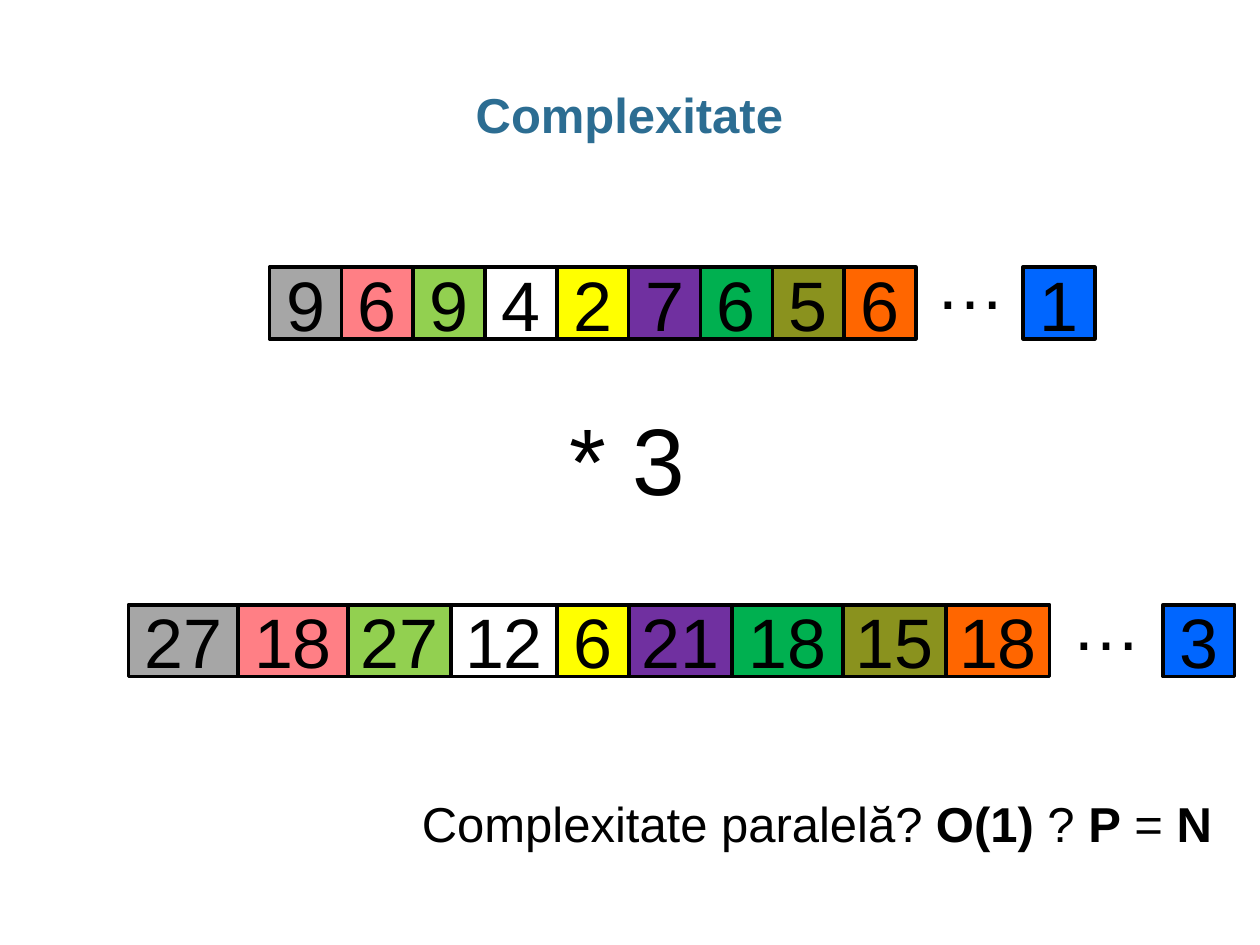
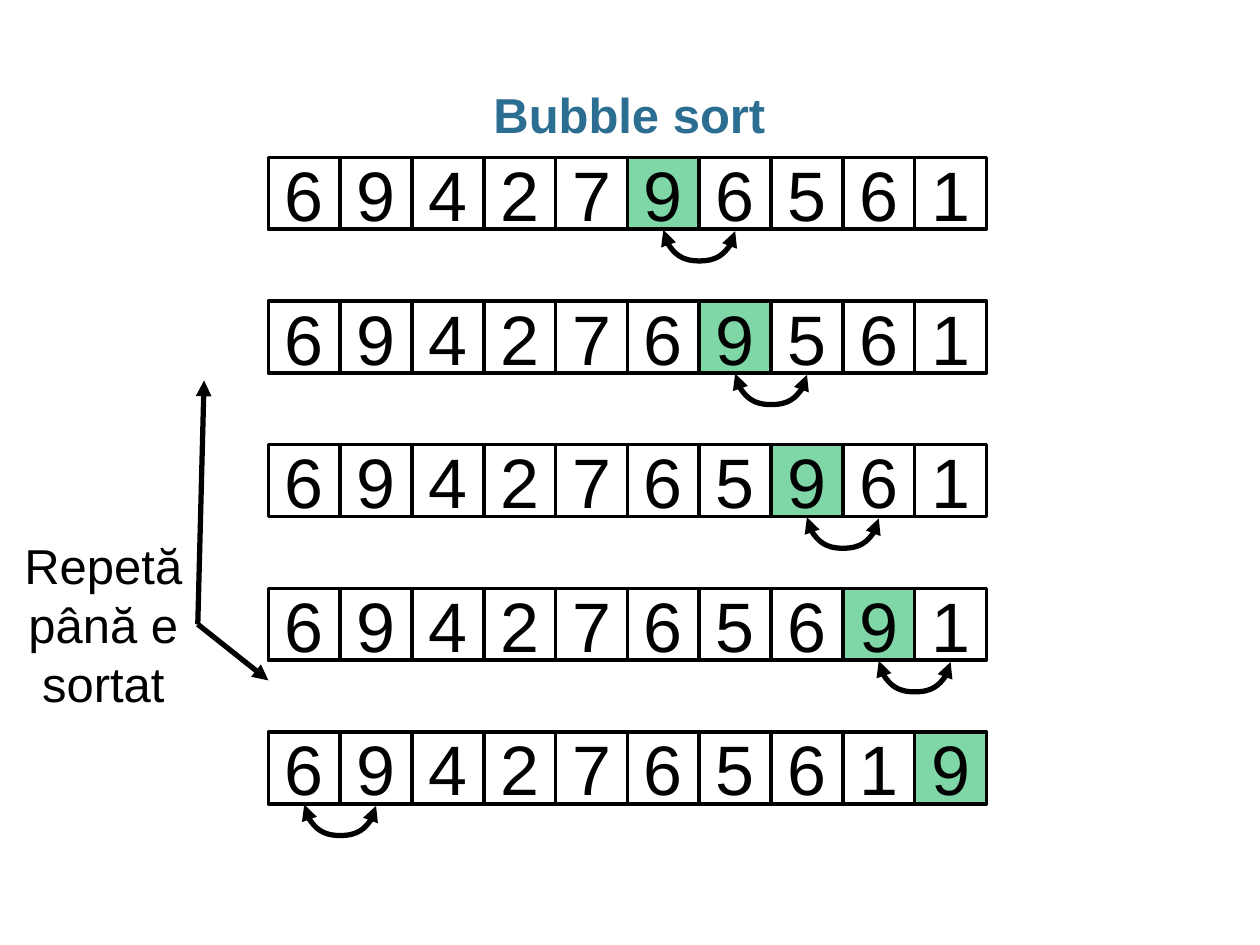
from dataclasses import dataclass
from typing import Optional

from pptx import Presentation
from pptx.dml.color import RGBColor
from pptx.enum.shapes import MSO_CONNECTOR, MSO_SHAPE
from pptx.enum.text import MSO_ANCHOR, MSO_AUTO_SIZE, PP_ALIGN
from pptx.oxml.ns import qn
from pptx.oxml.xmlchemy import OxmlElement
from pptx.util import Inches, Pt

RECTANGLE = MSO_SHAPE.RECTANGLE
STRAIGHT, CURVE = MSO_CONNECTOR.STRAIGHT, MSO_CONNECTOR.CURVE
MIDDLE = MSO_ANCHOR.MIDDLE
CENTER, LEFT = PP_ALIGN.CENTER, PP_ALIGN.LEFT
FIT_SHAPE, NO_FIT = MSO_AUTO_SIZE.SHAPE_TO_FIT_TEXT, MSO_AUTO_SIZE.NONE
TITLE_ONLY = 5
RIGHT_SIDE = 3

COLOURS = {
    "title": "2C6D92", "ink": "000000", "grey": "A6A6A6", "pink": "FF7F85",
    "lime": "92D050", "yellow": "FFFF00", "purple": "7030A0",
    "green": "00B050", "olive": "8A921E", "orange": "FF6600", "blue": "0066FF",
}
BODY_FONT = {"name": "Arial", "size": Pt(28), "bold": False}
TITLE_FONT = {**BODY_FONT, "bold": True}
DIGIT_FONT = {**BODY_FONT, "size": Pt(40)}
FACTOR_FONT = {**BODY_FONT, "size": Pt(54)}

CELL = 0.57
ROW_STEP = 2 * CELL
ARC_DROP = 0.01
ARC_DEPTH = 0.25


@dataclass(frozen=True)
class Cell:
    value: str
    colour: Optional[str] = None
    width: float = CELL
    opacity: int = 100


@dataclass(frozen=True)
class Label:
    runs: tuple[str, ...]  # every second run is bold
    box: tuple[float, float, float, float]
    font: dict
    align: PP_ALIGN = LEFT
    wrap: bool = False


INPUT_COLOURS = ("grey", "pink", "lime", None, "yellow", "purple", "green", "olive", "orange")
INPUTS = (9, 6, 9, 4, 2, 7, 6, 5, 6)
PRODUCT_WIDTHS = (0.87, 0.87, 0.82, 0.84, CELL, 0.82, 0.88, 0.82, 0.82)
FACTOR = 3

COMPLEXITY_LABELS = (
    Label(("Complexitate paralelă? ", "O(1) ", "? ", "P", " = ", "N"),
          (3.25, 6.25, 6.55, 0.57), BODY_FONT),
    Label((f"* {FACTOR}",), (4.42, 3.13, 1.13, 1.01), FACTOR_FONT),
    Label(("…",), (7.33, 1.85, 0.76, 0.77), DIGIT_FONT),
    Label(("…",), (8.41, 4.56, 0.76, 0.77), DIGIT_FONT),
)
REPEAT_LABEL = Label(("Repetă până e sortat",), (0.07, 4.2, 1.5, 1.51), BODY_FONT, CENTER, True)

SORT_LEFT, SORT_TOP = 2.13, 1.25
SORT_START = "6942796561"
FIRST_MOVING = 5


def rgb(colour: str) -> RGBColor:
    return RGBColor.from_string(COLOURS[colour])


def format_font(font, values: dict, colour: str = "ink") -> None:
    for attribute, value in values.items():
        setattr(font, attribute, value)
    font.color.rgb = rgb(colour)


def add_titled_slide(prs, title: str):
    slide = prs.slides.add_slide(prs.slide_layouts[TITLE_ONLY])
    heading = slide.shapes.title
    frame_box = {"left": 0.34, "top": 0.68, "width": 9.31, "height": 0.5}
    for attribute, value in frame_box.items():
        setattr(heading, attribute, Inches(value))
    frame = heading.text_frame
    frame_format = {"margin_left": 0, "margin_right": 0, "auto_size": NO_FIT,
                    "vertical_anchor": MIDDLE}
    for attribute, value in frame_format.items():
        setattr(frame, attribute, value)
    frame.text = title
    paragraph = frame.paragraphs[0]
    paragraph.alignment = CENTER
    paragraph.line_spacing = 0.95
    format_font(paragraph.runs[0].font, TITLE_FONT, "title")
    return slide


def add_cell(slide, cell: Cell, left: float, top: float) -> None:
    square = slide.shapes.add_shape(
        RECTANGLE, Inches(left), Inches(top), Inches(cell.width), Inches(CELL))
    square.shadow.inherit = False
    square.line.color.rgb = rgb("ink")
    square.line.width = Pt(2)
    if cell.colour is None:
        square.fill.background()
    else:
        square.fill.solid()
        square.fill.fore_color.rgb = rgb(cell.colour)
        if cell.opacity < 100:
            alpha = OxmlElement("a:alpha")
            alpha.set("val", str(cell.opacity * 1000))
            square._element.spPr.find(qn("a:solidFill"))[0].append(alpha)
    frame = square.text_frame
    frame.vertical_anchor = MIDDLE
    frame.text = cell.value
    frame.paragraphs[0].alignment = CENTER
    format_font(frame.paragraphs[0].runs[0].font, DIGIT_FONT)


def add_row(slide, cells: list[Cell], left: float, top: float) -> None:
    """Draw cells side by side from left to right."""
    for cell in cells:
        add_cell(slide, cell, left, top)
        left += cell.width


def add_label(slide, label: Label):
    box = slide.shapes.add_textbox(*map(Inches, label.box))
    frame = box.text_frame
    frame.word_wrap = label.wrap
    frame.auto_size = FIT_SHAPE
    paragraph = frame.paragraphs[0]
    paragraph.alignment = label.align
    for index, text in enumerate(label.runs):
        run = paragraph.add_run()
        run.text = text
        format_font(run.font, {**label.font, "bold": index % 2 == 1})
    return box


def add_arrow(slide, kind: MSO_CONNECTOR, start: tuple[float, float],
              end: tuple[float, float], ends: tuple[str, ...] = ("a:tailEnd",)):
    arrow = slide.shapes.add_connector(kind, *map(Inches, start + end))
    arrow.line.color.rgb = rgb("ink")
    arrow.line.width = Pt(3)
    properties = arrow._element.spPr
    for tag in ends:
        tip = OxmlElement(tag)
        tip.set("type", "triangle")
        properties.find(qn("a:ln")).append(tip)
    properties.append(OxmlElement("a:effectLst"))
    return arrow


def add_swap_arc(slide, column: int, row_top: float) -> None:
    """Hang a double-headed arc below a column and its right neighbour."""
    middle_x = SORT_LEFT + (column + 1) * CELL
    middle_y = row_top + CELL + ARC_DROP
    half_width, half_height = ARC_DROP / 2, CELL / 2
    arc = add_arrow(slide, CURVE,
                    (middle_x + half_width, middle_y - half_height),
                    (middle_x - half_width, middle_y + half_height),
                    ("a:headEnd", "a:tailEnd"))
    properties = arc._element.spPr
    properties.find(qn("a:xfrm")).set("rot", str(270 * 60000))
    bend = OxmlElement("a:gd")
    bend.set("name", "adj1")
    bend.set("fmla", f"val {round(ARC_DEPTH / ARC_DROP * 100000)}")
    properties.find(qn("a:prstGeom")).find(qn("a:avLst")).append(bend)


def build_complexity(prs) -> None:
    slide = add_titled_slide(prs, "Complexitate")
    inputs = [Cell(str(n), colour) for n, colour in zip(INPUTS, INPUT_COLOURS)]
    products = [Cell(str(n * FACTOR), colour, width)
                for n, colour, width in zip(INPUTS, INPUT_COLOURS, PRODUCT_WIDTHS)]
    add_row(slide, inputs, 2.14, 2.12)
    add_cell(slide, Cell("1", "blue"), 8.12, 2.12)
    add_row(slide, products, 1.02, 4.8)
    add_cell(slide, Cell(str(FACTOR), "blue"), 9.23, 4.8)
    for label in COMPLEXITY_LABELS:
        add_label(slide, label)


def build_bubble_sort(prs) -> None:
    slide = add_titled_slide(prs, "Bubble sort")
    digits = list(SORT_START)
    last = len(digits) - 1
    for step, moving in enumerate(range(FIRST_MOVING, len(digits))):
        top = SORT_TOP + step * ROW_STEP
        cells = [Cell(digit, "green", opacity=50) if column == moving else Cell(digit)
                 for column, digit in enumerate(digits)]
        add_row(slide, cells, SORT_LEFT, top)
        # After the last column the next pass starts again from the left
        add_swap_arc(slide, moving if moving < last else 0, top)
        if moving < last:
            digits[moving], digits[moving + 1] = digits[moving + 1], digits[moving]

    repeat = add_label(slide, REPEAT_LABEL)
    for target in ((2.13, 5.4), (1.62, 3.02)):
        arrow = add_arrow(slide, STRAIGHT, (1.57, 4.95), target)
        arrow.begin_connect(repeat, RIGHT_SIDE)


def main() -> None:
    prs = Presentation()
    prs.slide_width, prs.slide_height = Inches(10), Inches(7.5)
    build_complexity(prs)
    build_bubble_sort(prs)
    prs.save("out.pptx")


if __name__ == "__main__":
    main()
